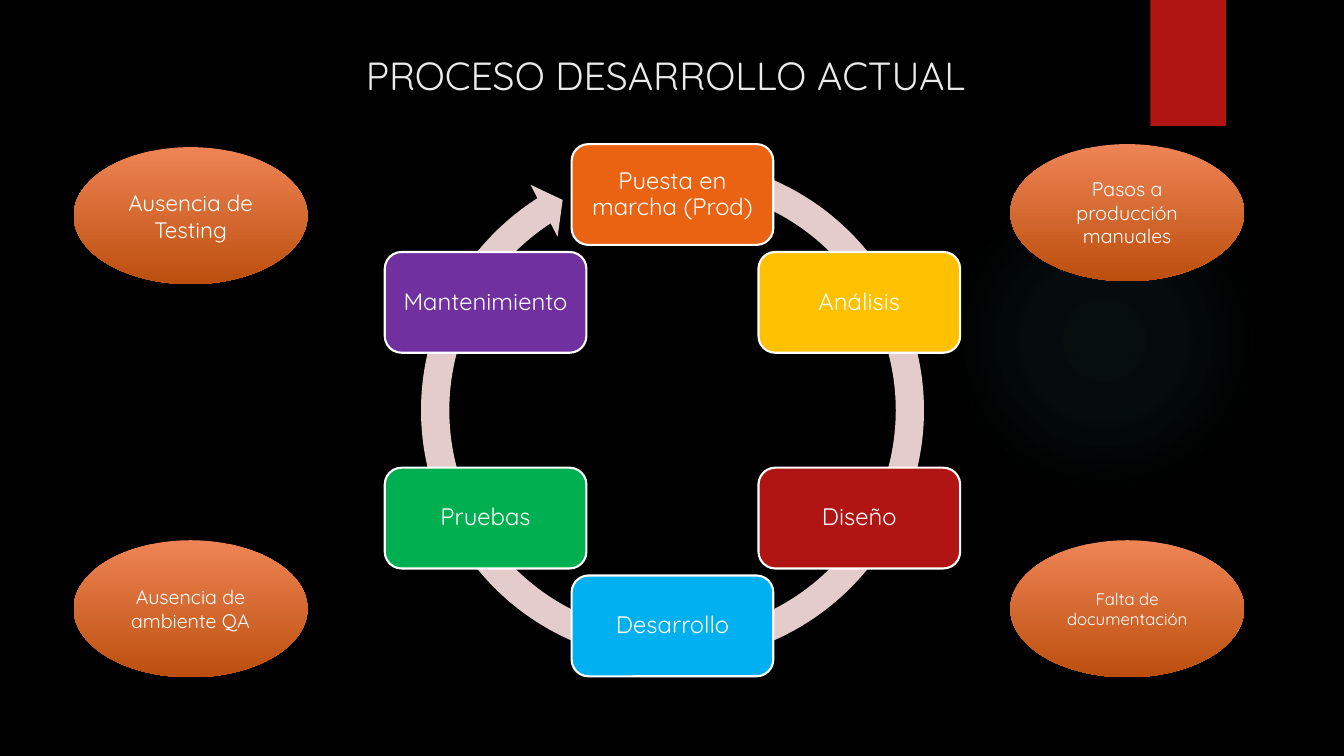
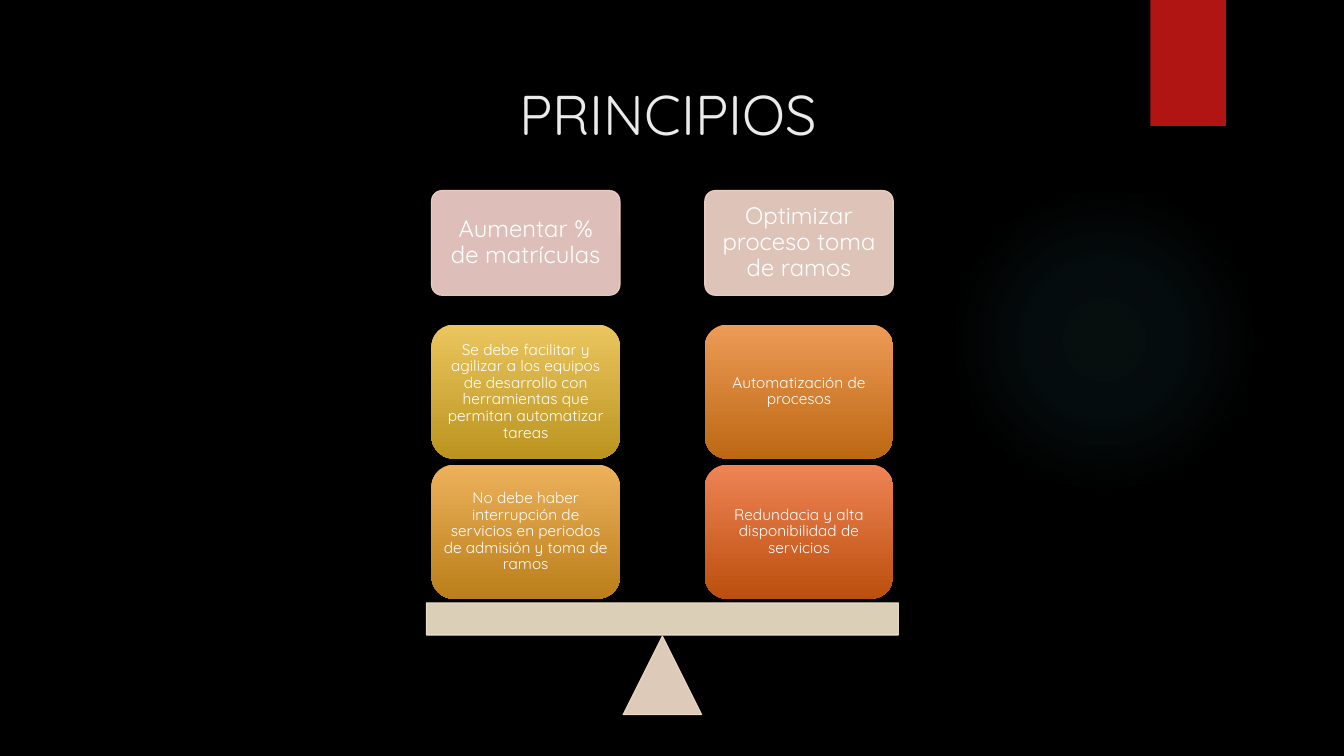
"""Builds two dark slides: a development cycle and a balance of principles."""
import math

import lxml.etree
import pptx
import pptx.dml.color
import pptx.enum.shapes
import pptx.enum.text
import pptx.oxml
import pptx.oxml.ns
import pptx.util

Inches = pptx.util.Inches
Pt = pptx.util.Pt
RGBColor = pptx.dml.color.RGBColor
KIND = pptx.enum.shapes.MSO_SHAPE
ANCHOR = pptx.enum.text.MSO_ANCHOR
ALIGN = pptx.enum.text.PP_ALIGN
qn = pptx.oxml.ns.qn

FONT = "Quicksand"
BLACK = RGBColor(0x00, 0x00, 0x00)
WHITE = RGBColor(0xFF, 0xFF, 0xFF)
PALE = RGBColor(0xEB, 0xEB, 0xEB)
RED = RGBColor(0xB0, 0x15, 0x13)
ORANGE = RGBColor(0xEA, 0x63, 0x12)
YELLOW = RGBColor(0xFF, 0xC0, 0x00)
BLUE = RGBColor(0x00, 0xB0, 0xF0)
GREEN = RGBColor(0x00, 0xB0, 0x50)
PURPLE = RGBColor(0x70, 0x30, 0xA0)
ROSE = RGBColor(0xE4, 0xCC, 0xCC)
PINK = RGBColor(0xF7, 0xD3, 0xCC)
PEACH = RGBColor(0xF6, 0xD9, 0xCD)
SAND = RGBColor(0xF6, 0xE0, 0xCD)
CREAM = RGBColor(0xF5, 0xE6, 0xCD)
RUST = (RGBColor(0xEE, 0x84, 0x55), RGBColor(0xBC, 0x4F, 0x0E))
AMBER = (RGBColor(0xEE, 0x9B, 0x57), RGBColor(0xBC, 0x68, 0x13))
HONEY = (RGBColor(0xED, 0xB1, 0x5B), RGBColor(0xBA, 0x7E, 0x1A))
GOLD = (RGBColor(0xEB, 0xC6, 0x5F), RGBColor(0xBB, 0x94, 0x1F))
GLOW = """<a:gradFill xmlns:a="http://schemas.openxmlformats.org/drawingml/2006/main"><a:gsLst>
<a:gs pos="0"><a:srgbClr val="50B9C1"><a:alpha val="7000"/></a:srgbClr></a:gs>
<a:gs pos="36000"><a:srgbClr val="50B9C1"><a:alpha val="6000"/></a:srgbClr></a:gs>
<a:gs pos="69000"><a:srgbClr val="50B9C1"><a:alpha val="0"/></a:srgbClr></a:gs></a:gsLst>
<a:path path="circle"><a:fillToRect l="50000" t="50000" r="50000" b="50000"/></a:path></a:gradFill>"""


def draw(slide, kind, left, top, width, height, paint, edge=None, weight=0.75, alpha=None):
    """Adds a shape painted with one colour, or with a pair from top to bottom."""
    shape = slide.shapes.add_shape(kind, Inches(left), Inches(top), Inches(width), Inches(height))
    shape.shadow.inherit = False
    if isinstance(paint, tuple) and not isinstance(paint, RGBColor):
        shape.fill.gradient()
        shape.fill.gradient_angle = 270
        for stop, color in zip(shape.fill.gradient_stops, paint):
            stop.color.rgb = color
    else:
        shape.fill.solid()
        shape.fill.fore_color.rgb = paint
    if edge is None:
        shape.line.fill.background()
    else:
        shape.line.color.rgb = edge
        shape.line.width = Pt(weight)
    if alpha:
        for color in shape._element.spPr.iter(qn("a:srgbClr")):
            lxml.etree.SubElement(color, qn("a:alpha"), val=str(alpha * 1000))
    return shape


def write(shape, text, size, color=WHITE, align=ALIGN.CENTER, anchor=ANCHOR.MIDDLE,
          inset=None, space=None):
    """Sets the text of a shape in the shared font."""
    frame = shape.text_frame
    frame.word_wrap = True
    frame.vertical_anchor = anchor
    if inset is not None:
        frame.margin_left = frame.margin_right = Inches(inset)
        frame.margin_top = frame.margin_bottom = Inches(inset)
    line = frame.paragraphs[0]
    line.text = text
    line.alignment = align
    line.line_spacing = space
    line.font.name = FONT
    line.font.size = Pt(size)
    line.font.color.rgb = color


deck = pptx.Presentation()
deck.slide_width = Inches(13.33)
deck.slide_height = Inches(7.5)

titles = [
    ("PROCESO DESARROLLO ACTUAL", 28, 3.53, 0.32, 6.27, 0.71),
    ("PRINCIPIOS", 40, 5.05, 0.59, 3.24, 0.91),
]
slides = []
for text, size, left, top, width, height in titles:
    slide = deck.slides.add_slide(deck.slide_layouts[6])
    slide.background.fill.solid()
    slide.background.fill.fore_color.rgb = BLACK
    glow = draw(slide, KIND.OVAL, 9.41, 1.83, 3.08, 3.08, BLACK)
    solid = glow._element.spPr.find(qn("a:solidFill"))
    glow._element.spPr.replace(solid, pptx.oxml.parse_xml(GLOW))
    draw(slide, KIND.RECTANGLE, 11.41, 0, 0.75, 1.25, RED)
    title = slide.shapes.add_textbox(Inches(left), Inches(top), Inches(width), Inches(height))
    write(title, text, size, PALE, ALIGN.LEFT, ANCHOR.BOTTOM)
    slides.append(slide)
cycle, scale = slides

MID_X, MID_Y, RADIUS, RING = 6.67, 4.07, 2.14, 5.29
ring = draw(cycle, KIND.CIRCULAR_ARROW, MID_X - RING / 2, MID_Y - RING / 2, RING, RING, ROSE)
for i, value in enumerate((0.053, 3.126, 142.337, 171.238, 0.055)):
    ring.adjustments[i] = value

steps = [
    ("Puesta en marcha (Prod)", ORANGE),
    ("Análisis", YELLOW),
    ("Diseño", RED),
    ("Desarrollo", BLUE),
    ("Pruebas", GREEN),
    ("Mantenimiento", PURPLE),
]
for i, (text, color) in enumerate(steps):
    turn = math.tau * i / len(steps)
    left = MID_X + RADIUS * math.sin(turn) - 1
    top = MID_Y - RADIUS * math.cos(turn) - 0.5
    step = draw(cycle, KIND.ROUNDED_RECTANGLE, left, top, 2, 1, color, WHITE, 1.5)
    write(step, text, 17, inset=0.07, space=0.9)

flaws = [
    ("Ausencia de Testing", 16, 0.73, 1.46),
    ("Ausencia de ambiente QA", 14, 0.73, 5.36),
    ("Pasos a producción manuales", 14, 10.02, 1.43),
    ("Falta de documentación", 12, 10.02, 5.36),
]
for text, size, left, top in flaws:
    write(draw(cycle, KIND.OVAL, left, top, 2.32, 1.36, RUST), text, size)

draw(scale, KIND.ISOSCELES_TRIANGLE, 6.18, 6.31, 0.78, 0.78, SAND, SAND, alpha=90)
draw(scale, KIND.RECTANGLE, 4.23, 5.98, 4.68, 0.32, CREAM, CREAM, alpha=90)
sides = [
    (4.28, "Aumentar % de matrículas", PINK, [
        ("Se debe facilitar y agilizar a los equipos de desarrollo con herramientas que "
         "permitan automatizar tareas", GOLD),
        ("No debe haber interrupción de servicios en periodos de admisión y toma de ramos", HONEY),
    ]),
    (6.99, "Optimizar proceso toma de ramos", PEACH, [
        ("Automatización de procesos", AMBER),
        ("Redundacia y alta disponibilidad de servicios", RUST),
    ]),
]
for left, goal, color, loads in sides:
    head = draw(scale, KIND.ROUNDED_RECTANGLE, left, 1.89, 1.87, 1.04, color, color, alpha=90)
    head.adjustments[0] = 0.1
    write(head, goal, 17, inset=0.07, space=0.9)
    for row, (text, paint) in enumerate(loads):
        load = draw(scale, KIND.ROUNDED_RECTANGLE, left, 3.22 + 1.39 * row, 1.87, 1.33, paint)
        write(load, text, 11, inset=0.05, space=0.9)

deck.save("out.pptx")
